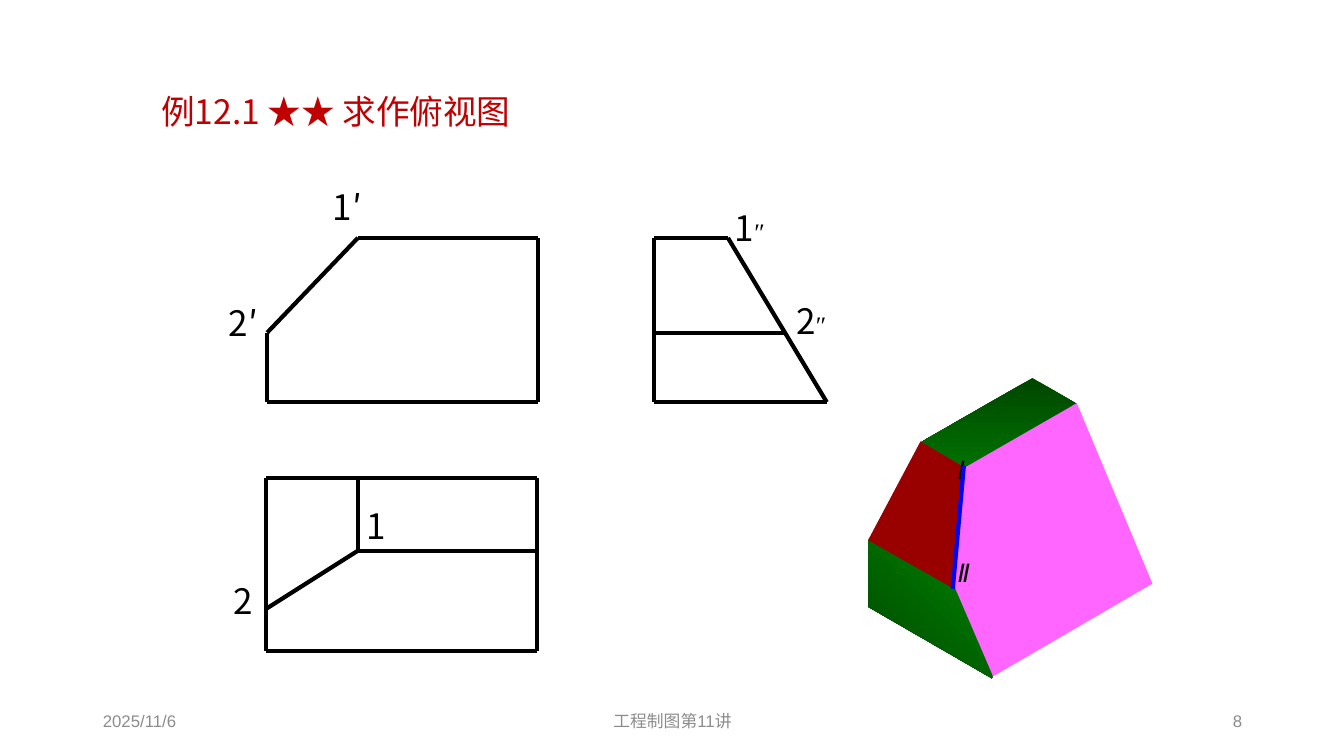
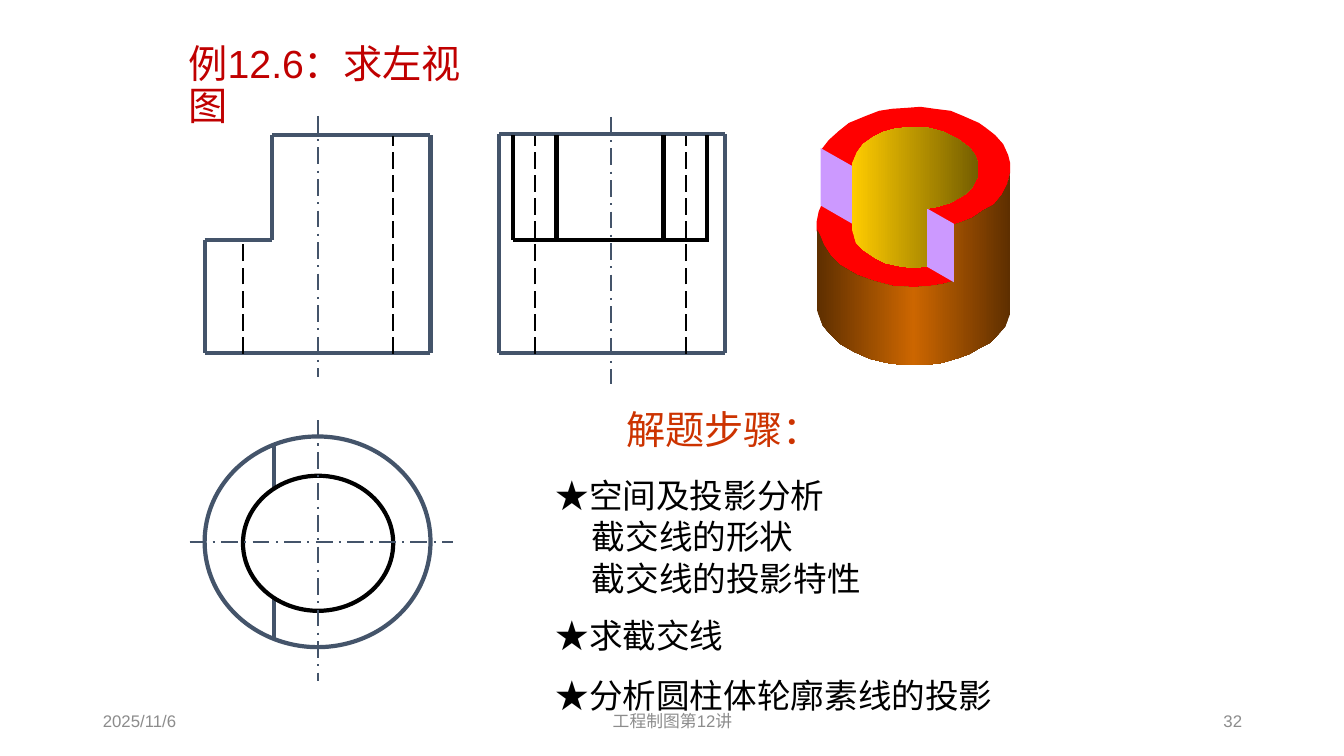
from copy import deepcopy
from itertools import pairwise

from lxml.etree import SubElement
from pptx import Presentation
from pptx.dml.color import RGBColor
from pptx.enum.dml import MSO_LINE
from pptx.enum.shapes import MSO_CONNECTOR, MSO_SHAPE
from pptx.enum.text import MSO_ANCHOR, MSO_AUTO_SIZE, PP_ALIGN
from pptx.oxml.ns import qn
from pptx.util import Pt

PX = 9144
CJK, LATIN, SERIF = "Noto Sans CJK SC", "Arial", "Times New Roman"
COLORS = {
    "ink": "000000", "white": "FFFFFF", "title": "C00000", "footer": "8C8C8C",
    "steps": "CC3300", "slate": "44546A", "edge": "0000FF", "pink": "FF66FF",
    "maroon": "990000", "green": "009900", "dark green": "004600",
    "red": "FF0000", "lilac": "CC99FF", "orange": "CC6600", "brown": "5E2F00",
    "yellow": "FFCC00", "olive": "755E00",
}
FOOTER_BOXES = {
    10: ((92, 695, 300, 40), PP_ALIGN.LEFT),
    11: ((442, 695, 450, 40), PP_ALIGN.CENTER),
    12: ((942, 695, 300, 40), PP_ALIGN.RIGHT),
}
UPPER_RING = [
    (815, 148), (822, 139), (832, 130), (842, 122), (859, 115), (872, 110), (885, 108),
    (900, 107), (913, 106), (927, 108), (943, 110), (955, 115), (971, 122), (978, 127),
    (987, 134), (995, 143), (1000, 154), (1002, 162), (1002, 171), (997, 193), (985, 208),
    (973, 216), (956, 226), (947, 223), (909, 214),
]
LOWER_RING = [
    (815, 203), (812, 210), (810, 220), (810, 229), (816, 245), (824, 254), (830, 261),
    (838, 270), (852, 277), (872, 285), (884, 287), (905, 289), (922, 288), (937, 285),
    (947, 279), (933, 260), (919, 257), (906, 252), (914, 244), (903, 238), (882, 220),
    (867, 224), (856, 219), (855, 208), (854, 215), (843, 218),
]
OUTER_WALL = [
    (810, 227), (810, 307), (816, 323), (822, 330), (833, 341), (847, 349), (863, 356),
    (880, 360), (896, 362), (918, 362), (934, 360), (951, 355), (962, 351), (972, 345),
    (982, 340), (988, 334), (997, 324), (1002, 311), (1002, 298), (1002, 170), (999, 183),
    (994, 193), (986, 203), (975, 209), (965, 216), (955, 220), (946, 223), (946, 279),
    (935, 282), (922, 284), (907, 285), (886, 284), (867, 279), (850, 273), (833, 263),
    (824, 254), (817, 243), (813, 233),
]
CUT_FACE = [(814, 147), (946, 222), (946, 280), (814, 204)]
INNER_WALL = [
    (845, 162), (845, 219), (845, 228), (849, 241), (856, 248), (868, 256), (878, 261),
    (892, 264), (907, 266), (919, 264), (919, 207), (930, 205), (943, 201), (950, 197),
    (957, 193), (964, 186), (970, 175), (970, 162), (967, 154), (962, 147), (950, 138),
    (936, 131), (921, 127), (903, 126), (887, 128), (876, 131), (866, 136), (856, 143),
    (850, 151),
]


def rgb(name):
    """Return the palette colour as an RGBColor."""
    return RGBColor.from_string(COLORS[name])


def emu(*lengths):
    """Turn px lengths into EMU."""
    return [n * PX for n in lengths]


def place(sp, box):
    """Move and size a shape to a px box."""
    sp.left, sp.top, sp.width, sp.height = emu(*box)


def style(r, size, color, font=CJK, italic=False):
    """Format one run in Latin and East Asian type."""
    r.font.size, r.font.name, r.font.italic = Pt(size), font, italic
    r.font.color.rgb = rgb(color)
    SubElement(r.font._element, qn("a:ea")).set("typeface", font)


def set_frame(tf, margins, wrap=True, anchor=MSO_ANCHOR.TOP):
    """Set the insets, wrapping and anchor of a text frame."""
    tf.margin_left, tf.margin_top, tf.margin_right, tf.margin_bottom = emu(*margins)
    tf.auto_size, tf.word_wrap, tf.vertical_anchor = MSO_AUTO_SIZE.NONE, wrap, anchor


def new_slide(prs, layout, title, box, size, font, footers):
    """Add a slide with its red title and three footers."""
    layout = prs.slide_layouts[layout]
    s = prs.slides.add_slide(layout)
    place(s.shapes.title, box)
    tf = s.shapes.title.text_frame
    set_frame(tf, (10, 5, 10, 5))
    tf.text = title
    p = tf.paragraphs[0]
    p.alignment, p.line_spacing = PP_ALIGN.LEFT, 0.9
    style(p.runs[0], size, "title", font)
    for (idx, (area, align)), text in zip(FOOTER_BOXES.items(), footers):
        s.shapes.element.append(deepcopy(layout.placeholders.get(idx).element))
        sp = s.placeholders[idx]
        place(sp, area)
        set_frame(sp.text_frame, (10, 5, 10, 5), anchor=MSO_ANCHOR.MIDDLE)
        sp.text_frame.text = text
        p = sp.text_frame.paragraphs[0]
        p.alignment = align
        style(p.runs[0], 12, "footer", LATIN)
    return s


def add_label(s, x, y, text, size=25, color="ink", font=CJK, italic=False, mark=""):
    """Add a one-line label, with an optional small mark after it."""
    tf = s.shapes.add_textbox(*emu(x, y, 50, 42)).text_frame
    set_frame(tf, (0, 0, 0, 0), wrap=False)
    p = tf.paragraphs[0]
    p.line_spacing = 0.9
    p.text = text
    style(p.runs[0], size, color, font, italic)
    if mark:
        r = p.add_run()
        r.text = mark
        style(r, 18, color, SERIF)


def add_path(s, points, color="ink", width=3, dash=None):
    """Join successive points with straight lines."""
    for start, end in pairwise(points):
        sp = s.shapes.add_connector(MSO_CONNECTOR.STRAIGHT, *emu(*start, *end))
        sp.line.color.rgb, sp.line.width = rgb(color), Pt(width)
        if dash:
            sp.line.dash_style = dash
        SubElement(sp.element.spPr, qn("a:effectLst"))


def add_axis(s, start, end):
    """Add a dash-dot centre line."""
    add_path(s, [start, end], "slate", 1.5, MSO_LINE.LONG_DASH_DOT)


def add_ellipse(s, box, color, fill=None):
    """Add an outlined ellipse."""
    sp = s.shapes.add_shape(MSO_SHAPE.OVAL, *emu(*box))
    sp.shadow.inherit = False
    sp.line.color.rgb, sp.line.width = rgb(color), Pt(3)
    if fill:
        sp.fill.solid()
        sp.fill.fore_color.rgb = rgb(fill)
    else:
        sp.fill.background()


def add_face(s, points, *colors, angle=0):
    """Add a borderless face in one colour or an even gradient."""
    builder = s.shapes.build_freeform(*points[0], scale=PX)
    builder.add_line_segments(points[1:], close=True)
    sp = builder.convert_to_shape()
    sp.shadow.inherit = False
    sp.line.fill.background()
    if len(colors) == 1:
        sp.fill.solid()
        sp.fill.fore_color.rgb = rgb(colors[0])
        return
    sp.fill.gradient()
    sp.fill.gradient_angle = angle
    stops = sp.element.spPr.find(".//" + qn("a:gsLst"))
    for _ in colors[2:]:
        stops.append(deepcopy(stops[0]))
    for i, (stop, color) in enumerate(zip(sp.fill.gradient_stops, colors)):
        stop.position = i / (len(colors) - 1)
        stop.color.rgb = rgb(color)


def add_steps(s, steps):
    """Fill the body placeholder with (indent, space before, text) steps."""
    body = s.placeholders[1]
    place(body, (551, 471, 550, 235))
    tf = body.text_frame
    set_frame(tf, (0, 0, 0, 0))
    for i, (indent, before, text) in enumerate(steps):
        p = tf.paragraphs[0] if i == 0 else tf.add_paragraph()
        p.text = text
        pPr = p._p.get_or_add_pPr()
        pPr.set("marL", str(indent * PX))
        pPr.set("indent", "0")
        SubElement(pPr, qn("a:buNone"))
        p.line_spacing, p.space_before = Pt(29), Pt(before)
        style(p.runs[0], 24, "ink")


def draw_cut_block(s):
    """Draw the three views and the solid of the cut block."""
    left, right, ridge = 264, 533, 354
    add_path(s, [(left, 474), (left, 646), (right, 646), (right, 474), (left, 474)])
    add_path(s, [(right, 547), (ridge, 547), (left, 604)])
    add_path(s, [(355, 547), (355, 473)])
    add_path(s, [(355, 236), (265, 330), (265, 399), (534, 399), (534, 236), (355, 236)])
    add_path(s, [(649, 236), (722, 236), (820, 399), (649, 399), (649, 236)])
    add_path(s, [(649, 330), (779, 330)])

    add_face(s, [(861, 469), (982, 539), (1144, 445), (1024, 375)],
             "dark green", "green", angle=270)
    add_face(s, [(861, 468), (984, 536), (984, 673), (861, 602)],
             "dark green", "green", angle=45)
    add_face(s, [(1069, 400), (1149, 440), (1144, 582), (1063, 403)], "white")
    add_face(s, [(908, 492), (1068, 400), (1143, 579), (985, 671)], "pink")
    add_face(s, [(912, 424), (840, 457), (843, 524), (866, 538), (921, 423)], "white")
    add_face(s, [(913, 438), (957, 464), (946, 584), (861, 536)], "maroon")

    for x, y, text, mark in [
        (227, 304, "2′", ""), (790, 302, "2", "″"), (330, 189, "1′", ""),
        (729, 210, "1", "″"), (364, 505, "1", ""), (232, 580, "2", ""),
    ]:
        add_label(s, x, y, text, mark=mark)
    for y, text in [(556, "Ⅱ"), (454, "Ⅰ")]:
        add_label(s, 950, y, text, 18, font=LATIN, italic=True)
    add_path(s, [(956, 462), (945, 584)], "edge")


def draw_notched_tube(s):
    """Draw the three views and the solid of the notched tube."""
    add_face(s, UPPER_RING, "red")
    add_face(s, LOWER_RING, "red")
    add_face(s, OUTER_WALL, "brown", "orange", "brown")
    add_face(s, CUT_FACE, "lilac")
    add_face(s, INNER_WALL, "yellow", "olive")

    add_path(s, [(495, 133), (719, 133), (719, 350), (495, 350), (495, 133)], "slate")
    add_path(s, [(270, 134), (427, 134), (427, 350), (203, 350), (203, 238),
                 (270, 238), (270, 134)], "slate")
    add_ellipse(s, (203, 433, 224, 209), "slate")
    add_path(s, [(272, 442), (272, 635)], "slate")
    add_axis(s, (606, 116), (606, 381))
    add_axis(s, (315, 115), (315, 374))

    add_path(s, [(509, 238), (703, 238)])
    for x in (509, 701, 552, 658):
        add_path(s, [(x, 238), (x, 134)])
    for x, top in [(241, 239), (390, 135), (680, 135), (531, 135)]:
        add_path(s, [(x, 351), (x, top)], width=1.5, dash=MSO_LINE.LONG_DASH)
    add_ellipse(s, (241, 472, 149, 134), "ink", "white")
    add_axis(s, (188, 538), (449, 538))
    add_axis(s, (315, 417), (315, 676))


def main():
    """Build both slides and save the deck."""
    prs = Presentation()
    prs.slide_width, prs.slide_height = emu(1333, 750)

    s = new_slide(prs, 5, "例12.1 ★★ 求作俯视图", (150, 90, 479, 50), 24, CJK,
                  ("2025/11/6", "工程制图第11讲", "8"))
    draw_cut_block(s)

    s = new_slide(prs, 1, "例12.6：求左视图", (177, 39, 326, 57), 28, LATIN,
                  ("2025/11/6", "工程制图第12讲", "32"))
    draw_notched_tube(s)
    add_label(s, 621, 407, "解题步骤：", 28, "steps")
    add_steps(s, [
        (0, 0, "★空间及投影分析"),
        (36, 0, "截交线的形状"),
        (36, 1.5, "截交线的投影特性"),
        (0, 11.5, "★求截交线"),
        (0, 13.5, "★分析圆柱体轮廓素线的投影"),
    ])
    prs.save("out.pptx")


if __name__ == "__main__":
    main()
